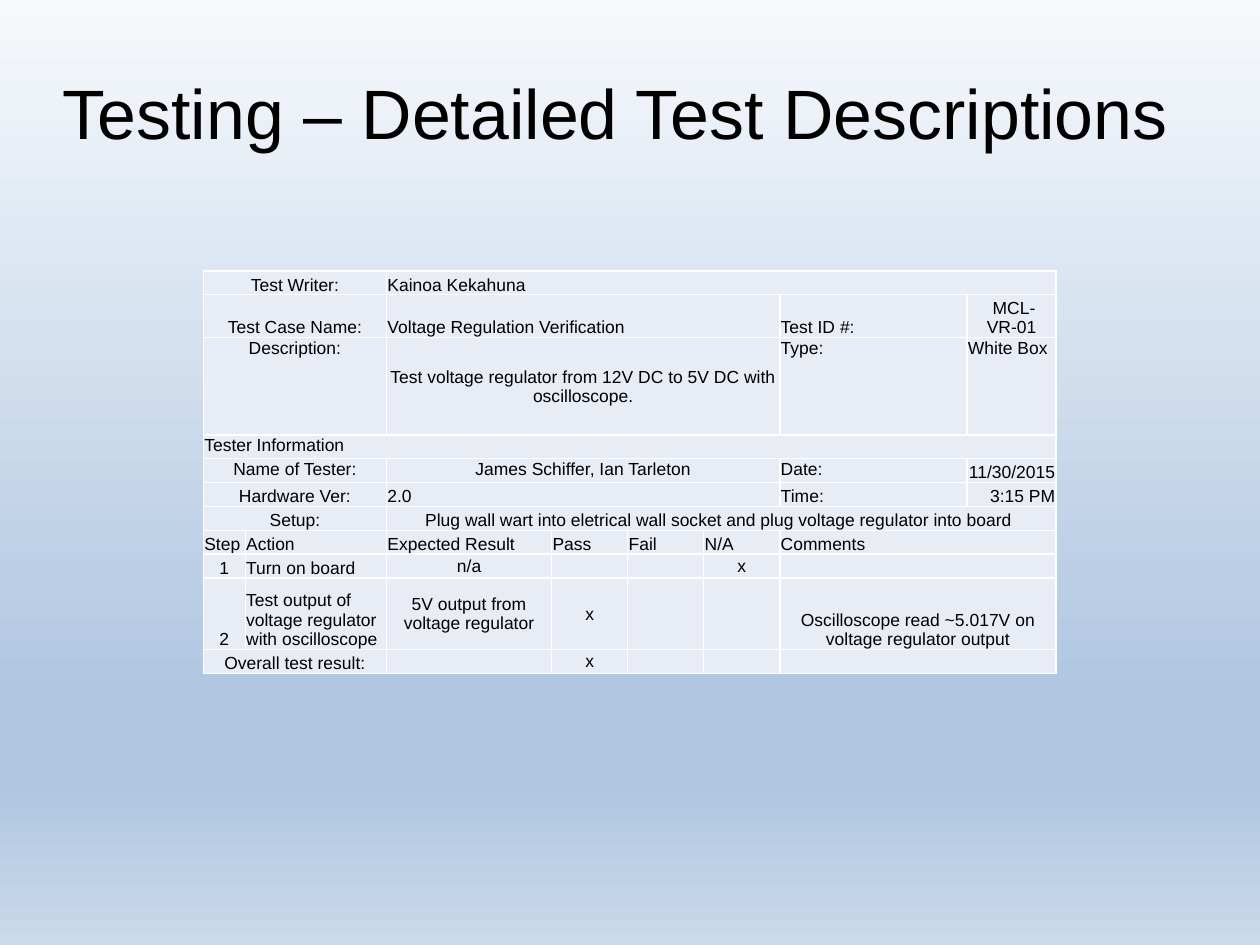
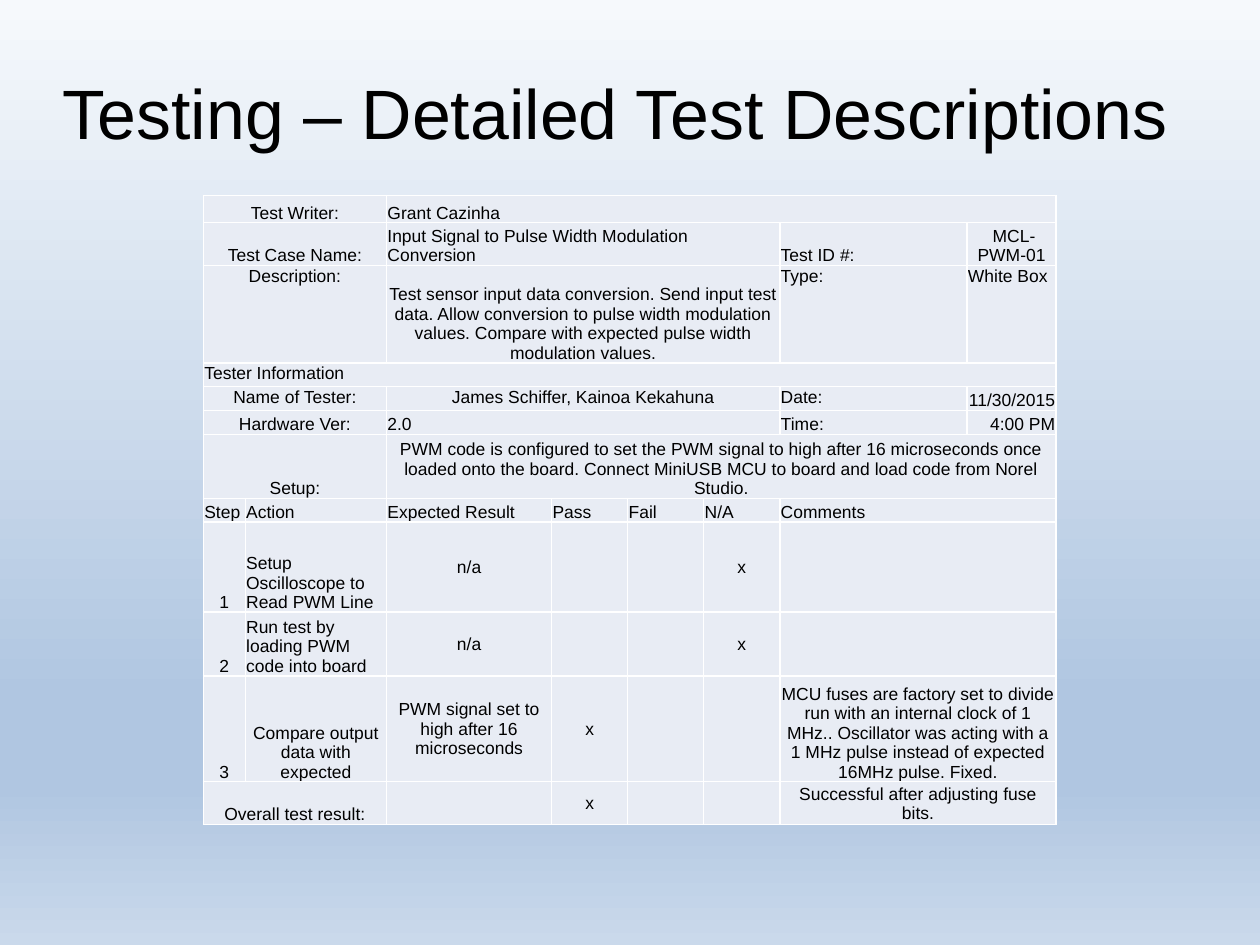
import lxml.etree
import pptx
import pptx.dml.color
import pptx.enum.text
import pptx.oxml.ns
import pptx.util

Cm = pptx.util.Cm
Pt = pptx.util.Pt
RGBColor = pptx.dml.color.RGBColor
qn = pptx.oxml.ns.qn
Align = pptx.enum.text.PP_ALIGN
Anchor = pptx.enum.text.MSO_ANCHOR

# Shared look
BLACK = RGBColor(0x00, 0x00, 0x00)
WHITE = RGBColor(0xFF, 0xFF, 0xFF)
CELL_FILL = RGBColor(0xE8, 0xEC, 0xF4)
SKY_TOP = RGBColor(0xF6, 0xF9, 0xFC)
SKY_DEEP = RGBColor(0xB0, 0xC6, 0xE1)
SKY_BOTTOM = RGBColor(0xCA, 0xD9, 0xEB)
BACKGROUND_STOPS = [(0, SKY_TOP), (74, SKY_DEEP), (83, SKY_DEEP), (100, SKY_BOTTOM)]
FONT = "Arial"
TITLE = "Testing – Detailed Test Descriptions"
TITLE_BOX = (Cm(1.4), Cm(0.84), Cm(25.2), Cm(3.5))

# Test form: column widths and row heights
FORM_LEFT = Cm(4.52)
COLUMNS = [Cm(w) for w in (0.93, 3.14, 3.67, 1.69, 1.69, 1.69, 4.16, 1.98)]
LINE = Cm(0.53)
TWO_LINES = Cm(0.89)
DESCRIPTION = Cm(2.16)
RESULTS = ("Pass", "Fail", "N/A")

# A cell style is two letters: anchor, then alignment
ANCHORS = {"t": Anchor.TOP, "m": Anchor.MIDDLE, "b": Anchor.BOTTOM}
ALIGNS = {"l": Align.LEFT, "c": Align.CENTER, "r": Align.RIGHT}

# Steps: row height, action, action style, expected result, result, comment
TESTS = [
    dict(
        top=Cm(6.02), first_row=LINE, writer="Kainoa Kekahuna",
        name="Voltage Regulation Verification", number=" MCL-VR-01",
        description="Test voltage regulator from 12V DC to 5V DC with oscilloscope.",
        description_style="mc", testers="James Schiffer, Ian Tarleton", time="3:15 PM",
        setup="Plug wall wart into eletrical wall socket and plug voltage regulator into board ",
        setup_row=LINE,
        steps=[
            (LINE, "Turn on board", "bl", "n/a", "N/A", ""),
            (Cm(1.59), "Test output of voltage regulator with oscilloscope", "bl",
             "5V output from voltage regulator", "Pass",
             "Oscilloscope read ~5.017V on voltage regulator output"),
        ],
        overall_row=LINE, overall="",
    ),
    dict(
        top=Cm(4.34), first_row=Cm(0.61), writer="Grant Cazinha",
        name="Input Signal to Pulse Width Modulation Conversion", number=" MCL-PWM-01",
        description="Test sensor input data conversion. Send input test data. Allow "
                    "conversion to pulse width modulation values. Compare with expected "
                    "pulse width modulation values.",
        description_style="bc", testers="James Schiffer, Kainoa Kekahuna", time="4:00 PM",
        setup="PWM code is configured to set the PWM signal to high after 16 microseconds "
              "once loaded onto the board. Connect MiniUSB MCU to board and load code from "
              "Norel Studio.",
        setup_row=Cm(1.32),
        steps=[
            (Cm(2), "Setup Oscilloscope to Read PWM Line", "bl", "n/a", "N/A", ""),
            (Cm(1.32), "Run test by loading PWM code into board", "bl", "n/a", "N/A", ""),
            (Cm(2.18), "Compare output data with expected", "bc",
             "PWM signal set to high after 16 microseconds", "Pass",
             "MCU fuses are factory set to divide run with an internal clock of 1 MHz.. "
             "Oscillator was acting with a 1 MHz pulse instead of expected 16MHz pulse. "
             "Fixed."),
        ],
        overall_row=TWO_LINES, overall="Successful after adjusting fuse bits.",
    ),
]


def paint_background(master):
    """Put the vertical gradient on the master, for all slides."""
    fill = master.background.fill
    fill.gradient()
    fill.gradient_angle = 270
    stops = next(master.element.iter(qn("a:gsLst")))
    for stop in list(stops):
        stops.remove(stop)
    for percent, color in BACKGROUND_STOPS:
        stop = lxml.etree.SubElement(stops, qn("a:gs"), pos=str(percent * 1000))
        lxml.etree.SubElement(stop, qn("a:srgbClr"), val=str(color))


def style_span(span, size):
    span.font.name = FONT
    span.font.size = Pt(size)
    span.font.color.rgb = BLACK


def add_title(slide, text, box):
    frame = slide.shapes.add_textbox(*box).text_frame
    frame.word_wrap = True
    frame.margin_left = frame.margin_right = frame.margin_top = frame.margin_bottom = 0
    frame.vertical_anchor = Anchor.MIDDLE
    frame.text = text
    para = frame.paragraphs[0]
    para.alignment = Align.LEFT
    para.line_spacing = 0.9
    style_span(para.runs[0], 44)


def result_marks(result):
    return [("x" if result == label else "", 1, "mc") for label in RESULTS]


def form_rows(test):
    """List the rows as (height, cells), each cell as (text, columns, style)."""
    rows = [
        (test["first_row"], [("Test Writer:", 2, "bc"), (test["writer"], 6, "bl")]),
        (TWO_LINES, [("Test Case Name:", 2, "bc"), (test["name"], 4, "bl"),
                     ("Test ID #:", 1, "bl"), (test["number"], 1, "bc")]),
        (DESCRIPTION, [("Description:", 2, "tc"),
                       (test["description"], 4, test["description_style"]),
                       ("Type:", 1, "tl"), ("White Box", 1, "tl")]),
        (LINE, [("Tester Information", 8, "tl")]),
        (LINE, [("Name of Tester:", 2, "tc"), (test["testers"], 4, "tc"),
                ("Date:", 1, "tl"), ("11/30/2015", 1, "br")]),
        (LINE, [("Hardware Ver:", 2, "bc"), ("2.0", 4, "bl"),
                ("Time:", 1, "bl"), (test["time"], 1, "br")]),
        (test["setup_row"], [("Setup:", 2, "bc"), (test["setup"], 6, "bc")]),
        (LINE, [(label, 1, "bl") for label in ("Step", "Action", "Expected Result", *RESULTS)]
         + [("Comments", 2, "bl")]),
    ]
    for number, step in enumerate(test["steps"], 1):
        height, action, style, expected, result, comment = step
        rows.append((height, [(str(number), 1, "bc"), (action, 1, style), (expected, 1, "mc"),
                              *result_marks(result), (comment, 2, "bc")]))
    rows.append((test["overall_row"], [("Overall test result:", 2, "bc"), ("", 1, "mc"),
                                       *result_marks("Pass"), (test["overall"], 2, "mc")]))
    return rows


def style_cell(cell):
    """Give a cell its white borders, fill, margins and small empty line."""
    properties = cell._tc.get_or_add_tcPr()
    for side in ("a:lnL", "a:lnR", "a:lnT", "a:lnB"):
        border = lxml.etree.SubElement(properties, qn(side), w=str(Pt(1)))
        solid = lxml.etree.SubElement(border, qn("a:solidFill"))
        lxml.etree.SubElement(solid, qn("a:srgbClr"), val=str(WHITE))
    cell.fill.solid()
    cell.fill.fore_color.rgb = CELL_FILL
    cell.margin_left = cell.margin_right = cell.margin_top = Cm(0.02)
    cell.margin_bottom = 0
    para = cell.text_frame.paragraphs[0]
    lxml.etree.SubElement(para._p, qn("a:endParaRPr"), sz="1100")


def fill_cell(cell, text, style):
    cell.vertical_anchor = ANCHORS[style[0]]
    para = cell.text_frame.paragraphs[0]
    para.alignment = ALIGNS[style[1]]
    if text:
        para.text = text
        style_span(para.runs[0], 11)


def add_form(slide, rows, left, top):
    height = sum(row_height for row_height, _ in rows)
    table = slide.shapes.add_table(len(rows), len(COLUMNS), left, top, sum(COLUMNS), height).table
    table.first_row = table.horz_banding = False
    for column, width in zip(table.columns, COLUMNS):
        column.width = width
    for cell in table.iter_cells():
        style_cell(cell)
    for row_index, (row_height, cells) in enumerate(rows):
        table.rows[row_index].height = row_height
        column_index = 0
        for text, columns, style in cells:
            cell = table.cell(row_index, column_index)
            column_index += columns
            if columns > 1:
                cell.merge(table.cell(row_index, column_index - 1))
            fill_cell(cell, text, style)


def add_test_slide(deck, test):
    slide = deck.slides.add_slide(deck.slide_layouts[6])
    add_title(slide, TITLE, TITLE_BOX)
    add_form(slide, form_rows(test), FORM_LEFT, test["top"])


def main():
    deck = pptx.Presentation()
    deck.slide_width, deck.slide_height = Cm(28), Cm(21)
    paint_background(deck.slide_master)
    for test in TESTS:
        add_test_slide(deck, test)
    deck.save("out.pptx")


if __name__ == "__main__":
    main()
